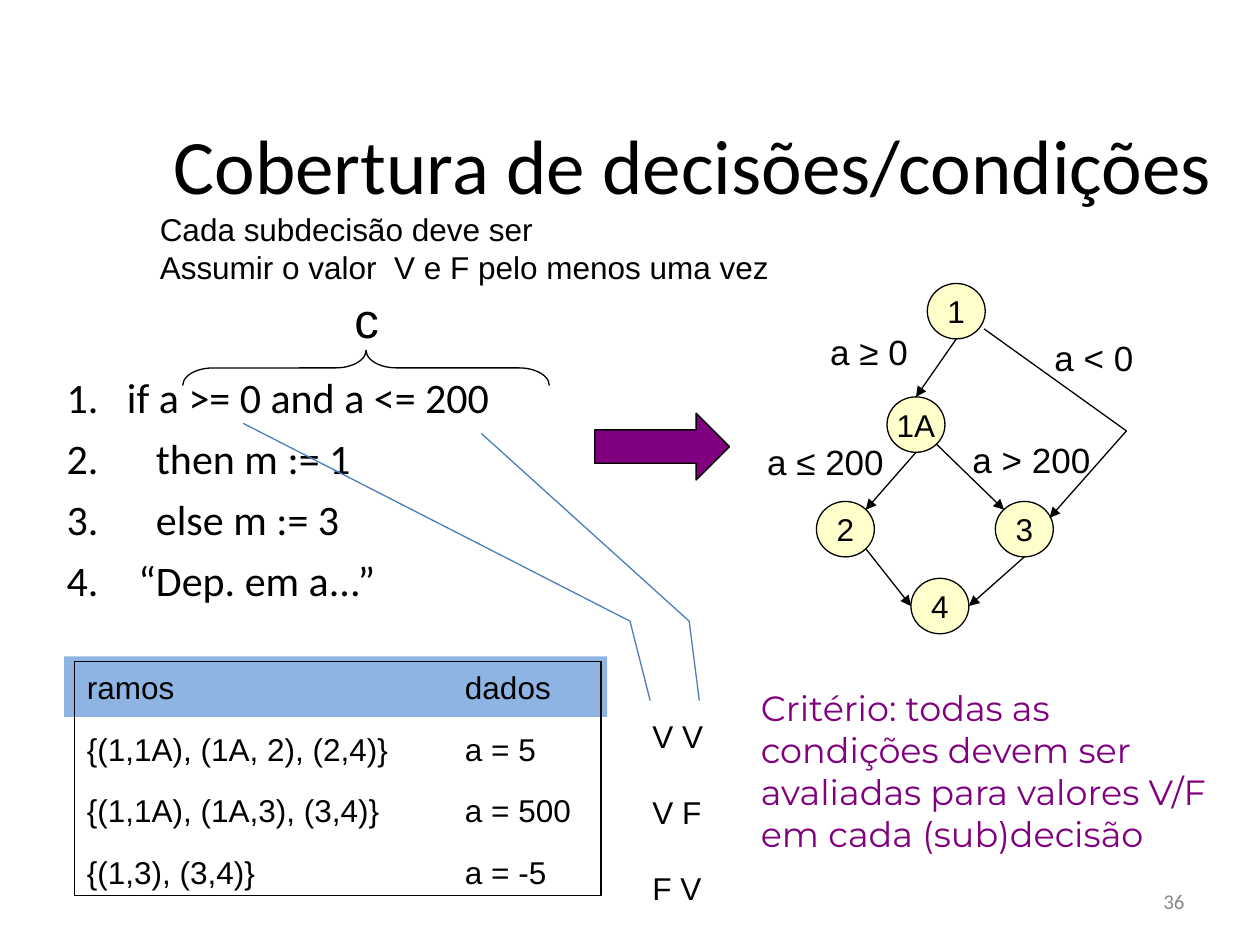
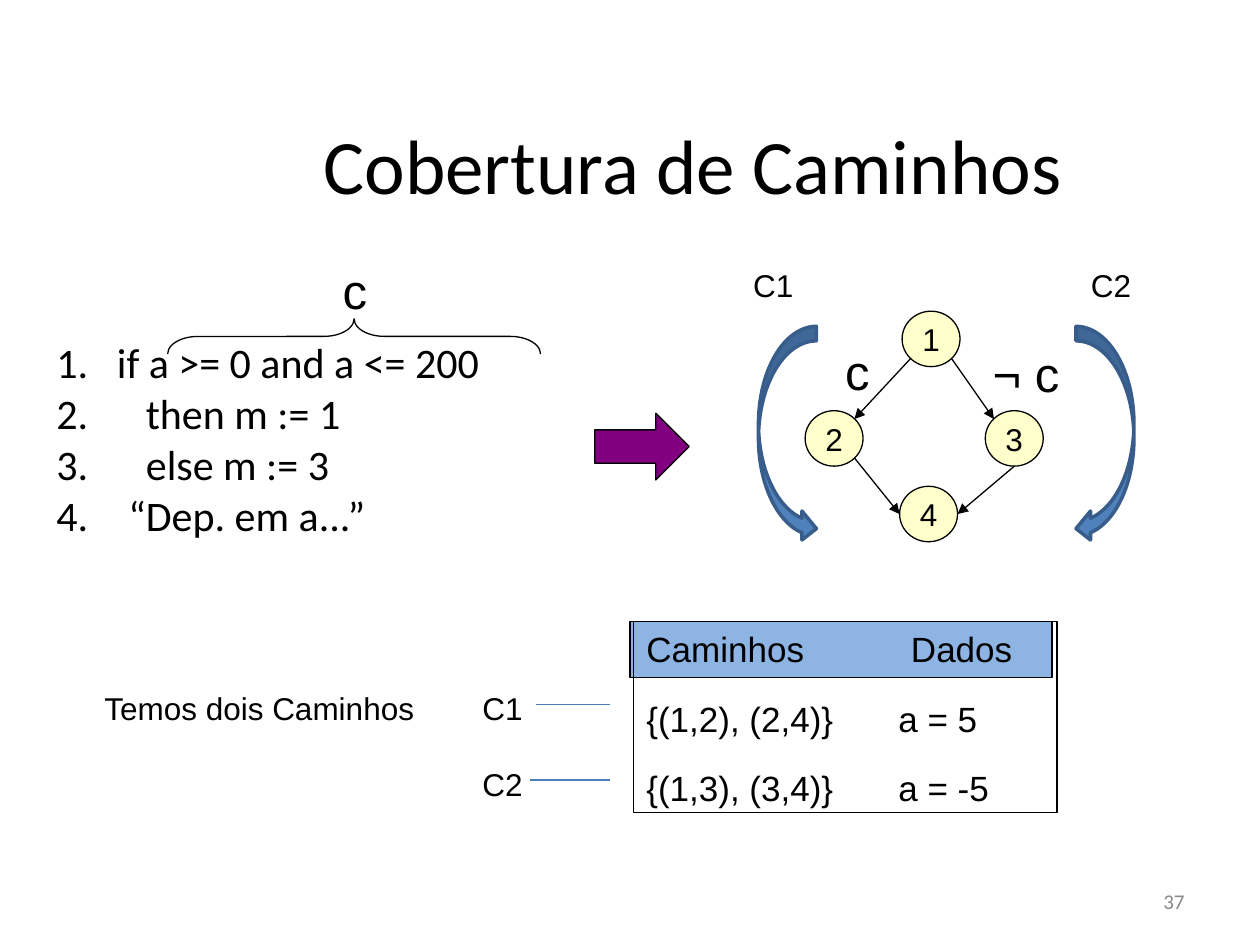
from dataclasses import dataclass
from itertools import pairwise

from lxml.etree import SubElement
from pptx import Presentation
from pptx.dml.color import RGBColor
from pptx.enum.shapes import MSO_CONNECTOR, MSO_SHAPE
from pptx.enum.text import MSO_ANCHOR, PP_ALIGN
from pptx.oxml.ns import qn
from pptx.util import Inches, Pt


@dataclass(frozen=True)
class Theme:
    ink: str = "000000"
    muted: str = "898989"
    purple: str = "800080"
    node: str = "FFFFCC"
    band: str = "8EB4E3"
    lead: str = "4A7EBB"
    swoop: str = "4F81BD"
    swoop_edge: str = "385D8A"
    heading: str = "Calibri"
    plain: str = "Arial"
    accent: str = "Montserrat"
    title_size: int = 44
    symbol_size: int = 28
    code_size: int = 24
    label_size: int = 20
    text_size: int = 18
    page_size: int = 12
    thin: float = 0.75
    thick: float = 2
    pair_gap: int = 22


@dataclass(frozen=True)
class Box:
    left: float
    top: float
    width: float
    height: float

    def inner(self, x, y, width, height):
        return Box(self.left + x, self.top + y, width, height)

    def point(self, x, y):
        return self.left + x, self.top + y

    def emu(self):
        return [Inches(v) for v in (self.left, self.top, self.width, self.height)]


THEME = Theme()
NO_STYLE_NO_GRID = "{2D5ABB26-0587-4C30-8999-92F81FD0307C}"
NODE_WIDTH, NODE_HEIGHT = 0.46, 0.44
SITES = {
    "top": (0.5, 0), "left": (0, 0.5), "bottom": (0.5, 1), "right": (1, 0.5),
    "top left": (0.15, 0.15), "top right": (0.85, 0.15),
    "bottom left": (0.15, 0.85), "bottom right": (0.85, 0.85),
}
CODE_LINES = [
    ("1.\tif a >= 0 and a <= 200", 0.48),
    ("2.\tthen m := 1", 0.71),
    ("3.\telse m := 3", 0.71),
    ("4.\t“Dep. em a...”", 0.57),
]


def apply(target, **values):
    for name, value in values.items():
        setattr(target, name, value)


def set_tab(paragraph, position):
    tabs = SubElement(paragraph._p.get_or_add_pPr(), qn("a:tabLst"))
    SubElement(tabs, qn("a:tab"), pos=str(Inches(position)), algn="l")


def write(paragraph, text, size, font=THEME.plain, color=THEME.ink, tab=None, **layout):
    apply(paragraph, **layout)
    if tab:
        set_tab(paragraph, tab)
    run = paragraph.add_run()
    run.text = text
    apply(run.font, name=font, size=Pt(size))
    run.font.color.rgb = RGBColor.from_string(color)


def add_text(slide, box, lines, size, anchor=MSO_ANCHOR.TOP, gap=0, inset=0.1, **style):
    frame = slide.shapes.add_textbox(*box.emu()).text_frame
    apply(frame, word_wrap=True, vertical_anchor=anchor,
          margin_left=Inches(inset), margin_right=Inches(inset))
    for index, line in enumerate(lines):
        paragraph = frame.add_paragraph() if index else frame.paragraphs[0]
        if index and gap:
            paragraph.space_before = Pt(gap)
        write(paragraph, line, size, **style)


def add_shape(slide, kind, box, fill=None, line=THEME.ink, weight=THEME.thin, adjust=()):
    shape = slide.shapes.add_shape(kind, *box.emu())
    shape.shadow.inherit = False
    for index, value in enumerate(adjust):
        shape.adjustments[index] = value
    if fill:
        shape.fill.solid()
        shape.fill.fore_color.rgb = RGBColor.from_string(fill)
    else:
        shape.fill.background()
    if line:
        shape.line.color.rgb = RGBColor.from_string(line)
        shape.line.width = Pt(weight)
    else:
        shape.line.fill.background()
    return shape


def add_line(slide, start, end, color=THEME.ink, arrow=False):
    ends = [Inches(v) for v in (*start, *end)]
    connector = slide.shapes.add_connector(MSO_CONNECTOR.STRAIGHT, *ends)
    connector.line.color.rgb = RGBColor.from_string(color)
    connector.line.width = Pt(THEME.thin)
    properties = connector._element.spPr
    if arrow:
        SubElement(properties.find(qn("a:ln")), qn("a:tailEnd"), type="triangle")
    SubElement(properties, qn("a:effectLst"))


def add_base(deck, title, number):
    slide = deck.slides.add_slide(deck.slide_layouts[6])
    add_text(slide, Box(7.17, 6.95, 2.33, 0.4), [number], THEME.page_size,
             anchor=MSO_ANCHOR.MIDDLE, font=THEME.heading, color=THEME.muted,
             alignment=PP_ALIGN.RIGHT)
    add_text(slide, Box(1.27, 0.67, 8.46, 1.25), [title], THEME.title_size,
             anchor=MSO_ANCHOR.MIDDLE, inset=0, font=THEME.heading,
             alignment=PP_ALIGN.CENTER)
    return slide


def add_code(slide, box, line_spacing=1.0):
    frame = slide.shapes.add_textbox(*box.emu()).text_frame
    frame.word_wrap = True
    for index, (line, tab) in enumerate(CODE_LINES):
        paragraph = frame.add_paragraph() if index else frame.paragraphs[0]
        write(paragraph, line, THEME.code_size, font=THEME.heading, tab=tab,
              space_before=Pt(6), line_spacing=line_spacing)


def add_condition_brace(slide, box):
    depth = 0.28
    upright = box.inner((box.width - depth) / 2, box.height - (box.width + depth) / 2,
                        depth, box.width)
    brace = add_shape(slide, MSO_SHAPE.LEFT_BRACE, upright, adjust=(0.86, 0.5))
    brace.rotation = 90
    add_text(slide, box.inner(box.width / 2 - 0.19, 0, 0.39, 0.57), ["c"], THEME.symbol_size)


def add_graph(slide, box, nodes, edges, labels, label_size):
    def locate(end):
        name, site = end
        if name not in nodes:
            return box.point(*end)
        x, y = nodes[name]
        across, down = SITES[site]
        return box.point(x + across * NODE_WIDTH, y + down * NODE_HEIGHT)

    for name, (x, y) in nodes.items():
        oval = add_shape(slide, MSO_SHAPE.OVAL, box.inner(x, y, NODE_WIDTH, NODE_HEIGHT),
                         fill=THEME.node)
        apply(oval.text_frame, word_wrap=False, vertical_anchor=MSO_ANCHOR.MIDDLE)
        write(oval.text_frame.paragraphs[0], name, THEME.text_size,
              alignment=PP_ALIGN.CENTER)
    for edge in edges:
        legs = list(pairwise(locate(end) for end in edge))
        for leg in legs:
            add_line(slide, *leg, arrow=leg == legs[-1])
    for label, x, y, width in labels:
        add_text(slide, box.inner(x, y, width, 0.44), [label], label_size)


def add_data_table(slide, box, rows, split, size, band, band_line, rise, pitch,
                   header_shift=0):
    add_shape(slide, MSO_SHAPE.RECTANGLE, band, fill=THEME.band, line=band_line)
    add_shape(slide, MSO_SHAPE.RECTANGLE, box)
    area = box.inner(0, -rise, box.width, pitch * len(rows))
    table = slide.shapes.add_table(len(rows), 2, *area.emu()).table
    apply(table, first_row=False, horz_banding=False)
    table._tbl.tblPr.find(qn("a:tableStyleId")).text = NO_STYLE_NO_GRID
    for column, width in zip(table.columns, (split, box.width - split)):
        column.width = Inches(width)
    for r, row in enumerate(rows):
        for c, text in enumerate(row):
            cell = table.cell(r, c)
            cell.fill.background()
            shift = header_shift if (r, c) == (0, 1) else 0
            apply(cell, vertical_anchor=MSO_ANCHOR.MIDDLE, margin_left=Inches(0.1 + shift))
            write(cell.text_frame.paragraphs[0], text, size)


def add_step_arrow(slide, box):
    add_shape(slide, MSO_SHAPE.RIGHT_ARROW, box, fill=THEME.purple, adjust=(0.5, 0.5))


def add_truth_values(slide, box):
    add_text(slide, box, ["V V", "V F", "F V"], THEME.text_size, gap=THEME.pair_gap)
    for trail in (
        [(-3.15, -2.28), (-0.08, -0.71), (0.08, -0.08)],
        [(-1.26, -2.2), (0.39, -0.71), (0.47, -0.08)],
    ):
        for start, end in pairwise(trail):
            add_line(slide, box.point(*start), box.point(*end), color=THEME.lead)


def add_path_swoops(slide, box):
    add_text(slide, box, ["C1\tC2"], THEME.text_size, tab=2.68)
    for kind, x in ((MSO_SHAPE.CURVED_LEFT_ARROW, 2.66),
                    (MSO_SHAPE.CURVED_RIGHT_ARROW, 0.14)):
        add_shape(slide, kind, box.inner(x, 0.53, 0.46, 1.72), fill=THEME.swoop,
                  line=THEME.swoop_edge, weight=THEME.thick)


def add_path_names(slide, box):
    add_text(slide, box, ["Temos dois Caminhos\tC1", "\tC2"], THEME.text_size,
             gap=THEME.pair_gap, tab=3.0)
    for x, y in ((3.52, 0.17), (3.48, 0.77)):
        add_line(slide, box.point(x, y), box.point(4.11, y), color=THEME.lead)


def build_decision_slide(deck):
    slide = add_base(deck, "Cobertura de decisões/condições", "36")
    add_code(slide, Box(0.43, 2.9, 4.16, 2.19))
    add_condition_brace(slide, Box(1.45, 2.25, 2.91, 0.81))
    add_graph(
        slide, Box(5.99, 2.25, 3.1, 2.78),
        nodes={"1": (1.37, 0), "1A": (1.05, 0.9), "2": (0.49, 1.73),
               "3": (1.91, 1.73), "4": (1.24, 2.34)},
        edges=[
            [("1", "bottom"), ("1A", "top")],
            [("1A", "bottom"), ("2", "top right")],
            [("1A", "bottom right"), ("3", "top left")],
            [(1.82, 0.36), (2.95, 1.17), (2.34, 1.86)],
            [("2", "bottom right"), ("4", "left")],
            [("3", "bottom"), ("4", "right")],
        ],
        labels=[("a ≥ 0", 0.5, 0.32, 0.88), ("a < 0", 2.28, 0.37, 0.88),
                ("a ≤ 200", 0, 1.2, 1.2), ("a > 200", 1.63, 1.18, 1.2)],
        label_size=THEME.label_size)
    add_data_table(
        slide, Box(0.59, 5.25, 4.18, 1.86),
        [("ramos", "dados"), ("{(1,1A), (1A, 2), (2,4)}", "a = 5"),
         ("{(1,1A), (1A,3), (3,4)}", "a = 500"), ("{(1,3), (3,4)}", "a = -5")],
        split=3, size=THEME.text_size, band=Box(0.51, 5.21, 4.31, 0.48),
        band_line=None, rise=0.03, pitch=0.49)
    add_text(slide, Box(5.94, 5.4, 3.86, 1.44),
             ["Critério: todas as condições devem ser avaliadas para valores V/F "
              "em cada (sub)decisão"],
             THEME.label_size, font=THEME.accent, color=THEME.purple)
    add_step_arrow(slide, Box(4.72, 3.28, 1.07, 0.53))
    add_text(slide, Box(1.17, 1.62, 5.1, 0.7),
             ["Cada subdecisão deve ser", "Assumir o valor  V e F pelo menos uma vez"],
             THEME.text_size)
    add_truth_values(slide, Box(5.08, 5.64, 0.65, 1.6))


def build_path_slide(deck):
    slide = add_base(deck, "Cobertura de Caminhos", "37")
    add_code(slide, Box(0.35, 2.7, 4.16, 1.77), line_spacing=0.8)
    add_condition_brace(slide, Box(1.33, 2.02, 2.96, 0.79))
    region = Box(5.88, 2.06, 3.2, 2.25)
    add_graph(
        slide, region,
        nodes={"1": (1.28, 0.41), "2": (0.51, 1.2), "3": (1.94, 1.2), "4": (1.26, 1.8)},
        edges=[
            [("1", "bottom left"), ("2", "top right")],
            [("1", "bottom right"), ("3", "top left")],
            [("2", "bottom right"), ("4", "left")],
            [("3", "bottom"), ("4", "right")],
        ],
        labels=[("c", 0.73, 0.6, 0.39), ("¬ c", 1.9, 0.62, 0.75)],
        label_size=THEME.symbol_size)
    add_data_table(
        slide, Box(5.03, 4.93, 3.36, 1.52),
        [("Caminhos", "Dados"), ("{(1,2), (2,4)}", "a = 5"), ("{(1,3), (3,4)}", "a = -5")],
        split=2, size=THEME.label_size, band=Box(5, 4.93, 3.35, 0.45),
        band_line=THEME.ink, rise=0.04, pitch=0.55, header_shift=0.1)
    add_step_arrow(slide, Box(4.72, 3.28, 0.75, 0.53))
    add_path_names(slide, Box(0.73, 5.42, 3.56, 1))
    add_path_swoops(slide, region)


def main():
    deck = Presentation()
    apply(deck, slide_width=Inches(10), slide_height=Inches(7.5))
    build_decision_slide(deck)
    build_path_slide(deck)
    deck.save("out.pptx")


if __name__ == "__main__":
    main()
